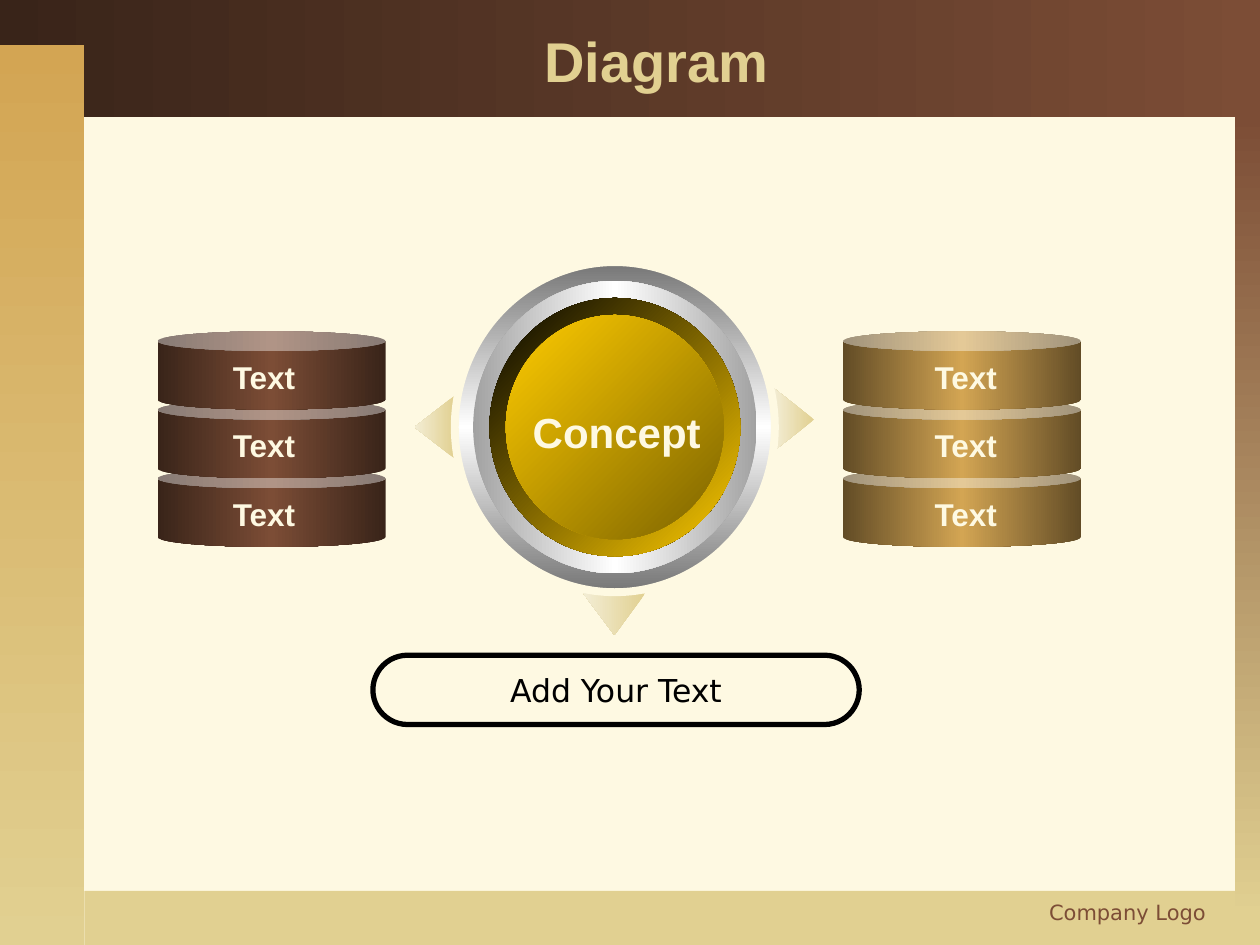
from lxml.etree import SubElement
from pptx import Presentation
from pptx.dml.color import RGBColor
from pptx.enum.shapes import MSO_SHAPE
from pptx.enum.text import MSO_ANCHOR, PP_ALIGN
from pptx.oxml.ns import qn
from pptx.util import Inches, Pt

COLS, ROWS = 100, 75
HEX = {
    "cream": "FEF9E2", "sand": "E1D091", "pale": "F3EDD4", "gold": "D3A553",
    "bronze": "624C26", "brown": "7C4D36", "dark": "392419", "black": "000000",
    "white": "FFFFFF", "grey": "767676", "silver": "A2A2A2",
    "yellow": "FFCC00", "olive": "7C6300",
}


class Deck:
    def __init__(self):
        self.prs = Presentation()
        self.prs.slide_width, self.prs.slide_height = Inches(10), Inches(7.5)
        self.slide = self.prs.slides.add_slide(self.prs.slide_layouts[5])
        back = self.slide.background.fill
        back.solid()
        back.fore_color.rgb = self.rgb("cream")

    def rgb(self, name):
        return RGBColor.from_string(HEX[name])

    def box(self, x, y, w, h):
        """Turn grid columns and rows into slide lengths."""
        col, row = self.prs.slide_width / COLS, self.prs.slide_height / ROWS
        return [round(n) for n in (x * col, y * row, w * col, h * row)]

    def blend(self, shape, names, angle):
        """Fill with evenly spaced colours, the angle running clockwise."""
        shape.fill.gradient()
        grad = shape._element.spPr.find(qn("a:gradFill"))
        stops = grad.find(qn("a:gsLst"))
        for stop in list(stops):
            stops.remove(stop)
        for i, name in enumerate(names):
            pos = str(round(100000 * i / (len(names) - 1)))
            stop = SubElement(stops, qn("a:gs"), pos=pos)
            SubElement(stop, qn("a:srgbClr"), val=HEX[name])
        grad.find(qn("a:lin")).set("ang", str(angle * 60000))

    def shape(self, kind, area, fill, angle=0, line=None, width=0):
        item = self.slide.shapes.add_shape(kind, *self.box(*area))
        item.shadow.inherit = False
        if isinstance(fill, str):
            item.fill.solid()
            item.fill.fore_color.rgb = self.rgb(fill)
        else:
            self.blend(item, fill, angle)
        if line:
            item.line.color.rgb = self.rgb(line)
            item.line.width = Pt(width)
        else:
            item.line.fill.background()
        return item

    def arrow(self, area, turn):
        item = self.shape(MSO_SHAPE.UP_ARROW, area, ("sand", "pale"), turn)
        item.adjustments[0], item.adjustments[1] = 0.52, 1
        item.rotation = turn
        item._element.spPr.find(qn("a:xfrm")).set("flipH", "1")

    def disc(self, mid, size, fill, angle, **edge):
        (x, y), (w, h) = mid, size
        area = (x - w / 2, y - h / 2, w, h)
        self.shape(MSO_SHAPE.OVAL, area, fill, angle, **edge)

    def letter(self, item, text, size, color, font="Arial", bold=True,
               align=PP_ALIGN.CENTER, wrap=False):
        frame = item.text_frame
        frame.text = text
        frame.word_wrap = wrap
        para = frame.paragraphs[0]
        para.alignment = align
        style = para.runs[0].font
        style.name, style.size, style.bold = font, Pt(size), bold
        style.color.rgb = self.rgb(color)
        return para.runs[0]

    def label(self, area, text, size, color, **look):
        item = self.slide.shapes.add_textbox(*self.box(*area))
        return self.letter(item, text, size, color, **look)

    def shade(self, run, color):
        """Give the run a small drop shadow."""
        font = run._r.get_or_add_rPr()
        glow = font.makeelement(qn("a:effectLst"), {})
        font.find(qn("a:solidFill")).addnext(glow)
        drop = SubElement(glow, qn("a:outerShdw"), dist="17961", dir="2700000")
        SubElement(drop, qn("a:srgbClr"), val=HEX[color])

    def title(self, area, text):
        item = self.slide.shapes.title
        item.left, item.top, item.width, item.height = self.box(*area)
        item.text_frame.vertical_anchor = MSO_ANCHOR.MIDDLE
        self.letter(item, text, 32, "sand", wrap=True)
        self.slide.shapes._spTree.append(item._element)  # above the bands

    def stack(self, x, w, mid, fill, texts):
        """Pile cans upwards, then label them from the top down."""
        top, step = 26.3, 5.45
        for i in reversed(range(len(texts))):
            area = (x, top + i * step, w, 6.2)
            self.shape(MSO_SHAPE.CAN, area, fill)
        for i, text in enumerate(texts):
            area = (mid - 3.55, top + 1.6 + i * step, 7.1, 4)
            self.label(area, text, 18, "cream")


def main():
    deck = Deck()
    rect = MSO_SHAPE.RECTANGLE
    deck.shape(rect, (6.7, 70.7, 93.3, 4.3), "sand")
    deck.shape(rect, (0, 0, 100, 9.3), ("dark", "brown"))
    deck.shape(rect, (0, 3.6, 6.7, 71.4), ("gold", "sand"), 90)
    deck.shape(rect, (98, 9.1, 2, 63.8), ("brown", "sand"), 90)
    deck.title((6.7, 1.7, 90.8, 6.2), "Diagram")

    deck.arrow((32, 32.3, 5, 3.2), 270)
    deck.arrow((60.5, 31.7, 5, 3.2), 90)
    deck.arrow((46.3, 47.1, 4.9, 3.3), 180)

    hub = (48.8, 33.9)
    deck.disc(hub, (25.4, 26.2), ("grey", "white", "grey"), 90,
              line="cream", width=4.5)
    deck.disc(hub, (22.5, 23.2), ("silver", "white", "silver"), 0)
    deck.disc(hub, (19.9, 20.5), ("black", "yellow"), 45)
    deck.disc(hub, (17.3, 17.8), ("yellow", "olive"), 45)

    texts = ["Text"] * 3
    deck.stack(12.5, 18.1, 20.95, ("dark", "brown", "dark"), texts)
    deck.stack(66.9, 18.9, 76.65, ("bronze", "gold", "bronze"), texts)
    deck.label((41.3, 31.8, 15.3, 5), "Concept", 24, "cream")

    pill = deck.shape(MSO_SHAPE.ROUNDED_RECTANGLE, (29.6, 52, 38.6, 5.5),
                      "cream", line="black", width=3)
    pill.adjustments[0] = 0.5
    deck.letter(pill, "Add Your Text", 18, "black", "DejaVu Sans", False)

    logo = deck.label((65, 70.9, 31.7, 3.3), "Company Logo", 12, "brown",
                      font="DejaVu Sans", bold=False,
                      align=PP_ALIGN.RIGHT, wrap=True)
    deck.shade(logo, "black")
    deck.prs.save("out.pptx")


if __name__ == "__main__":
    main()
